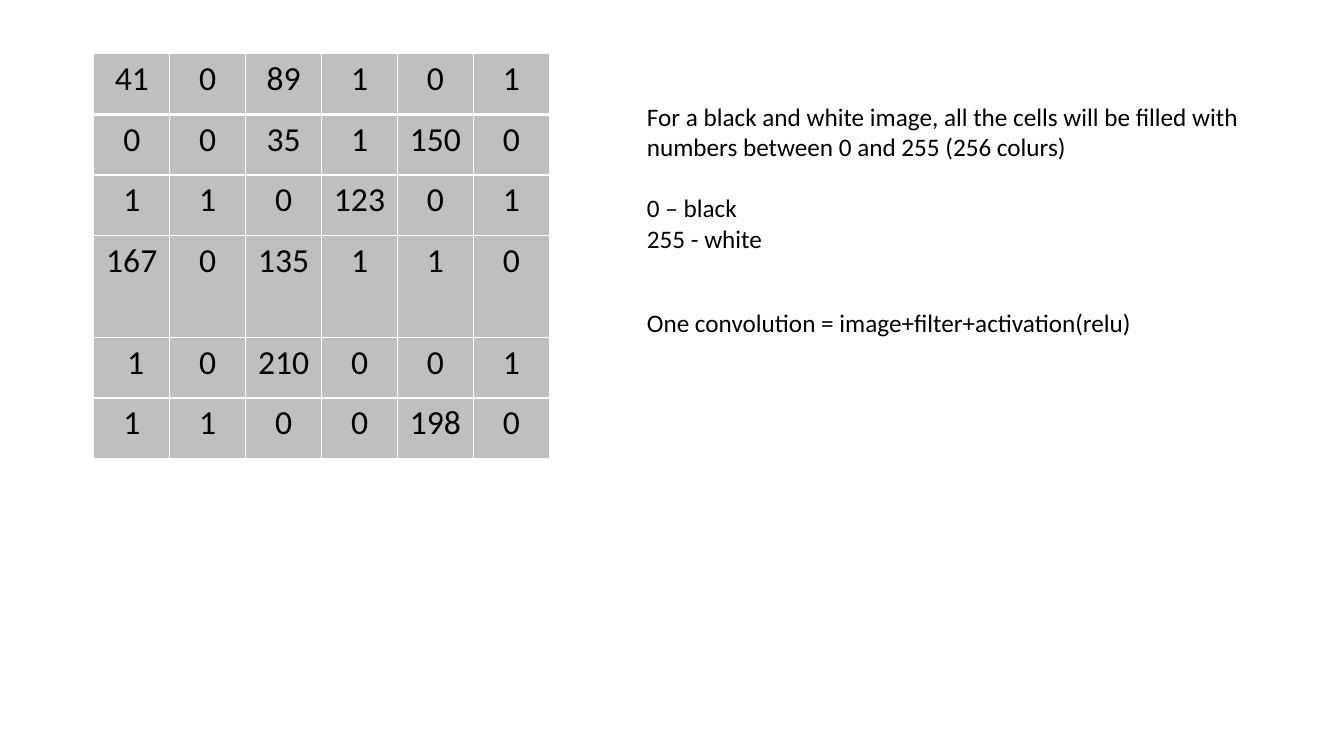
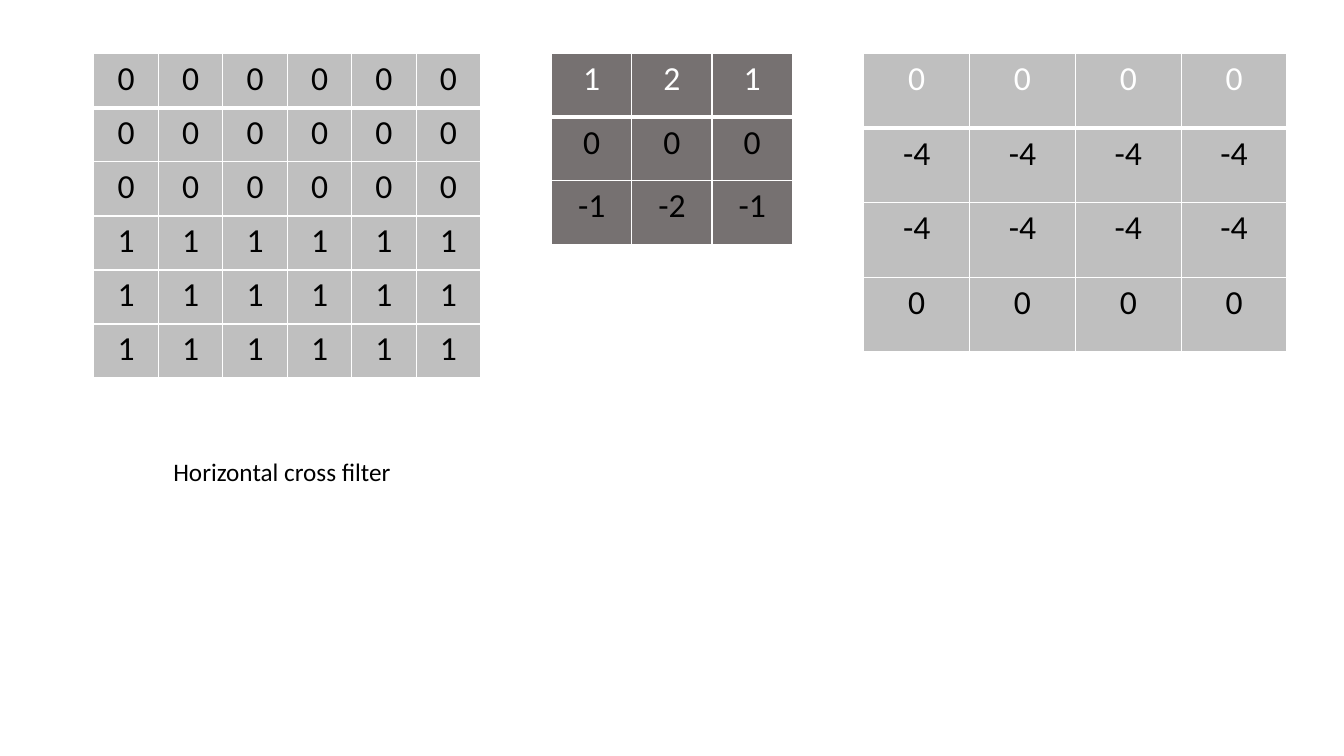
import pptx
import pptx.util
import pptx.dml.color
import pptx.enum.text
import pptx.oxml
import pptx.oxml.ns

Pt = pptx.util.Pt
RGBColor = pptx.dml.color.RGBColor
PP_ALIGN = pptx.enum.text.PP_ALIGN

BLACK = RGBColor(0x00, 0x00, 0x00)
WHITE = RGBColor(0xFF, 0xFF, 0xFF)
LIGHT_GREY = RGBColor(0xBF, 0xBF, 0xBF)
DARK_GREY = RGBColor(0x76, 0x71, 0x71)

FONT = "Calibri"
MARGIN_LEFT, MARGIN_TOP = 67, 38.4
LINE_18 = 22  # height of one line of 18 pt text


def write(p, text, size=18, color=BLACK, align=PP_ALIGN.LEFT, before=0):
    """Put formatted text into a paragraph."""
    p.alignment = align
    p.space_before = Pt(before)
    r = p.add_run()
    r.text = text
    r.font.name, r.font.size, r.font.color.rgb = FONT, Pt(size), color


def add_text(s, box, lines, wrap=True):
    """Place a text box; each line is (text, space before)."""
    tf = s.shapes.add_textbox(*map(Pt, box)).text_frame
    tf.word_wrap = wrap
    tf.auto_size = pptx.enum.text.MSO_AUTO_SIZE.SHAPE_TO_FIT_TEXT
    for i, (text, before) in enumerate(lines):
        p = tf.add_paragraph() if i else tf.paragraphs[0]
        write(p, text, before=before)


def set_borders(cell, **widths):
    """Draw white cell borders; the keys are L, R, T and B."""
    tcPr = cell._tc.get_or_add_tcPr()
    for side, width in widths.items():
        tcPr.append(pptx.oxml.parse_xml(
            f'<a:ln{side} {pptx.oxml.ns.nsdecls("a")} w="{Pt(width)}">'
            f'<a:solidFill><a:srgbClr val="{WHITE}"/></a:solidFill></a:ln{side}>'))


def add_matrix(s, box, rows, fill=LIGHT_GREY, header_color=BLACK, row_heights=None):
    """Place a number grid with a thick rule under its first row."""
    left, top, width, height = box
    n_rows, n_cols = len(rows), len(rows[0])
    tbl = s.shapes.add_table(n_rows, n_cols, *map(Pt, box)).table
    tbl.first_row = tbl.horz_banding = False
    for col in tbl.columns:
        col.width = Pt(width / n_cols)
    for i, values in enumerate(rows):
        tbl.rows[i].height = Pt(row_heights[i] if row_heights else height / n_rows)
        for j, value in enumerate(values):
            cell = tbl.cell(i, j)
            set_borders(cell, L=1, R=1, T=3 if i == 1 else 1, B=3 if i == 0 else 1)
            cell.fill.solid()
            cell.fill.fore_color.rgb = fill
            write(cell.text_frame.paragraphs[0], str(value), size=24,
                  color=BLACK if i else header_color, align=PP_ALIGN.CENTER)


def image_slide(s):
    # Pixel values
    pixels = [
        [41, 0, 89, 1, 0, 1],
        [0, 0, 35, 1, 150, 0],
        [1, 1, 0, 123, 0, 1],
        [167, 0, 135, 1, 1, 0],
        [" 1", 0, 210, 0, 0, 1],
        [1, 1, 0, 0, 198, 0],
    ]
    heights = [43.3] * 3 + [72.7] + [43.3] * 2
    add_matrix(s, (MARGIN_LEFT, MARGIN_TOP, 325.5, sum(heights)), pixels,
               row_heights=heights)
    # Explanation
    add_text(s, (455, 69, 481, 117), [
        ("For a black and white image, all the cells will be filled with "
         "numbers between 0 and 255 (256 colurs)", 0),
        ("0 – black", LINE_18),
        ("255 - white", 0),
    ])
    add_text(s, (455, 216, 420, 29),
             [("One convolution = image+filter+activation(relu)", 0)])


def filter_slide(s):
    # Input, filter and result
    add_matrix(s, (MARGIN_LEFT, MARGIN_TOP, 276.5, 231.8),
               [[0] * 6] * 3 + [[1] * 6] * 3)
    add_matrix(s, (394, MARGIN_TOP, 172, 136),
               [[1, 2, 1], [0, 0, 0], [-1, -2, -1]],
               fill=DARK_GREY, header_color=WHITE)
    add_matrix(s, (617, MARGIN_TOP, 302.4, 213),
               [[0] * 4, [-4] * 4, [-4] * 4, [0] * 4], header_color=WHITE)
    # Caption
    add_text(s, (116.7, 322.6, 171.4, 29), [("Horizontal cross filter", 0)], wrap=False)


prs = pptx.Presentation()
prs.slide_width, prs.slide_height = Pt(960), Pt(540)
for build in (image_slide, filter_slide):
    build(prs.slides.add_slide(prs.slide_layouts[6]))
prs.save("out.pptx")
